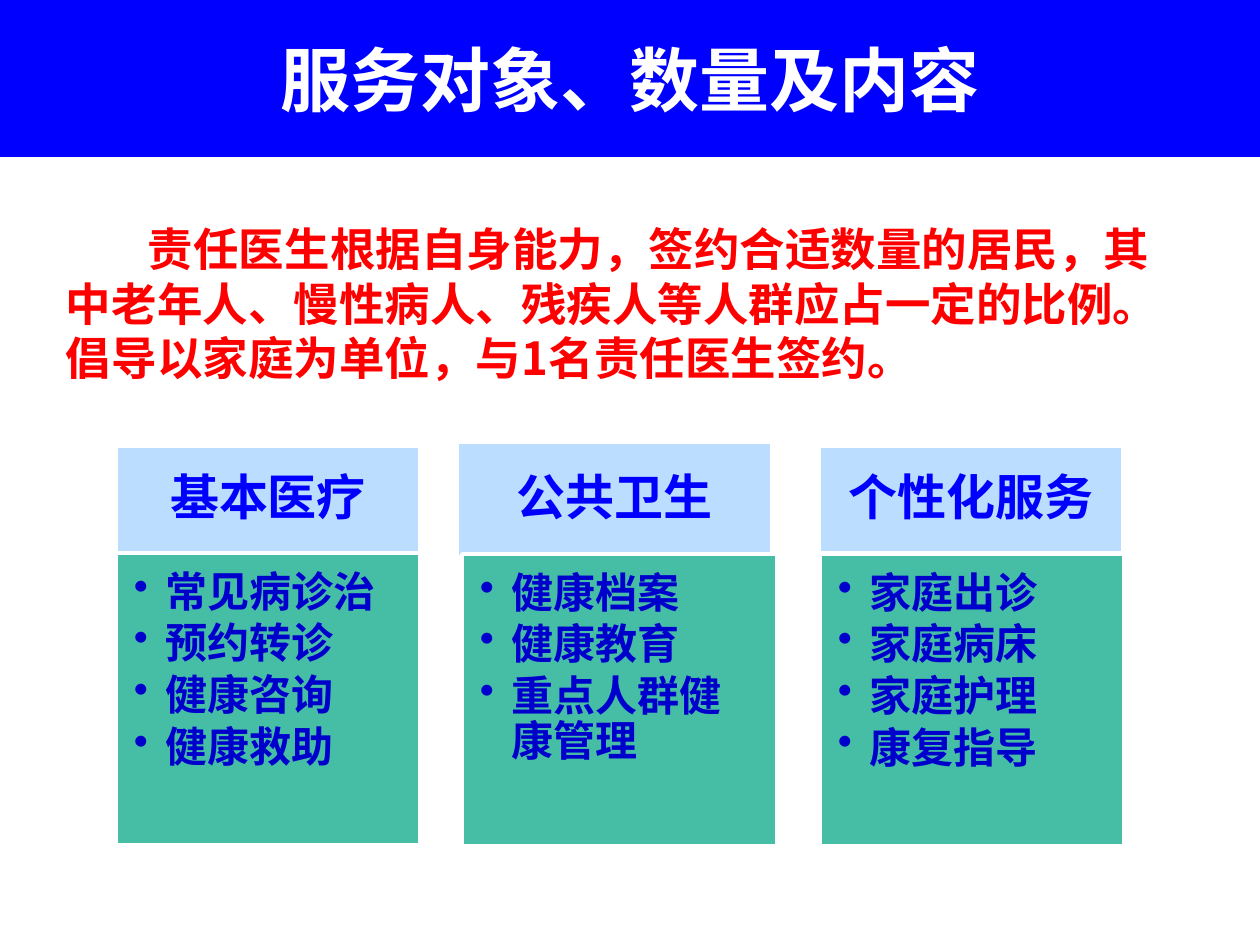
from lxml.etree import SubElement
from pptx import Presentation
from pptx.dml.color import RGBColor
from pptx.enum.shapes import MSO_SHAPE
from pptx.enum.text import MSO_ANCHOR, PP_ALIGN
from pptx.oxml.ns import qn
from pptx.util import Pt

PX = 914400 // 126
FONT = "Noto Sans CJK SC"
TITLE = "服务对象、数量及内容"
INTRO = ("责任医生根据自身能力，签约合适数量的居民，其中老年人、慢性病人、残疾人等人群应占一定的比例。"
         "倡导以家庭为单位，与1名责任医生签约。")
SERVICES = [
    ("基本医疗", (116, 446, 304, 107), (116, 553, 304, 292),
     ["常见病诊治", "预约转诊", "健康咨询", "健康救助"]),
    ("公共卫生", (457, 442, 315, 115), (462, 554, 315, 292),
     ["健康档案", "健康教育", "重点人群健康管理"]),
    ("个性化服务", (819, 446, 304, 107), (820, 554, 304, 292),
     ["家庭出诊", "家庭病床", "家庭护理", "康复指导"]),
]


def color(value):
    return RGBColor.from_string(value)


def emu(lengths):
    return [length * PX for length in lengths]


def add_rectangle(page, place, fill, outlined=True):
    box = page.shapes.add_shape(MSO_SHAPE.RECTANGLE, *emu(place))
    box.shadow.inherit = False
    box.fill.solid()
    box.fill.fore_color.rgb = color(fill)
    if outlined:
        box.line.color.rgb = color("FFFFFF")
        box.line.width = Pt(2)
    else:
        box.line.fill.background()
    return box


def write(box, lines, size, ink, align=PP_ALIGN.CENTER, anchor=MSO_ANCHOR.MIDDLE,
          insets=(13, 6, 13, 6), spacing=None, after=0, margin=0, indent=0, bullet=False):
    frame = box.text_frame
    frame.word_wrap = True
    frame.vertical_anchor = anchor
    (frame.margin_left, frame.margin_top,
     frame.margin_right, frame.margin_bottom) = emu(insets)
    frame.text = "\n".join(lines)
    for para in frame.paragraphs:
        para.alignment = align
        para.line_spacing = spacing
        para.space_after = Pt(after)
        properties = para._p.get_or_add_pPr()
        properties.set("marL", str(margin * PX))
        properties.set("indent", str(indent * PX))
        if bullet:
            SubElement(properties, qn("a:buChar"), char="•")
        para.font.name = FONT
        para.font.size = Pt(size)
        para.font.bold = True
        para.font.color.rgb = color(ink)
        SubElement(properties.find(qn("a:defRPr")), qn("a:ea"), typeface=FONT)


def main():
    deck = Presentation()
    deck.slide_width, deck.slide_height = emu((1260, 945))
    page = deck.slides.add_slide(deck.slide_layouts[6])

    intro = page.shapes.add_textbox(*emu((53, 221, 1119, 199)))
    write(intro, [INTRO], 26, "FF0000", PP_ALIGN.LEFT, MSO_ANCHOR.TOP,
          insets=(13, 0, 13, 0), indent=82)

    banner = add_rectangle(page, (0, 0, 1260, 157), "0000FF", outlined=False)
    write(banner, [TITLE], 40, "FFFFFF")

    for heading, heading_place, panel_place, items in SERVICES:
        header = add_rectangle(page, heading_place, "BBDDFF")
        write(header, [heading], 28, "0000FF", insets=(28, 15, 28, 15), spacing=0.9)
        panel = add_rectangle(page, panel_place, "32B89C")
        tint = panel._element.spPr.find(qn("a:solidFill"))[0]
        SubElement(tint, qn("a:alpha"), val="90000")
        write(panel, items, 24, "0000CC", PP_ALIGN.LEFT, MSO_ANCHOR.TOP,
              insets=(18, 18, 24, 26), spacing=0.9, after=3.6,
              margin=32, indent=-32, bullet=True)

    deck.save("out.pptx")


if __name__ == "__main__":
    main()
